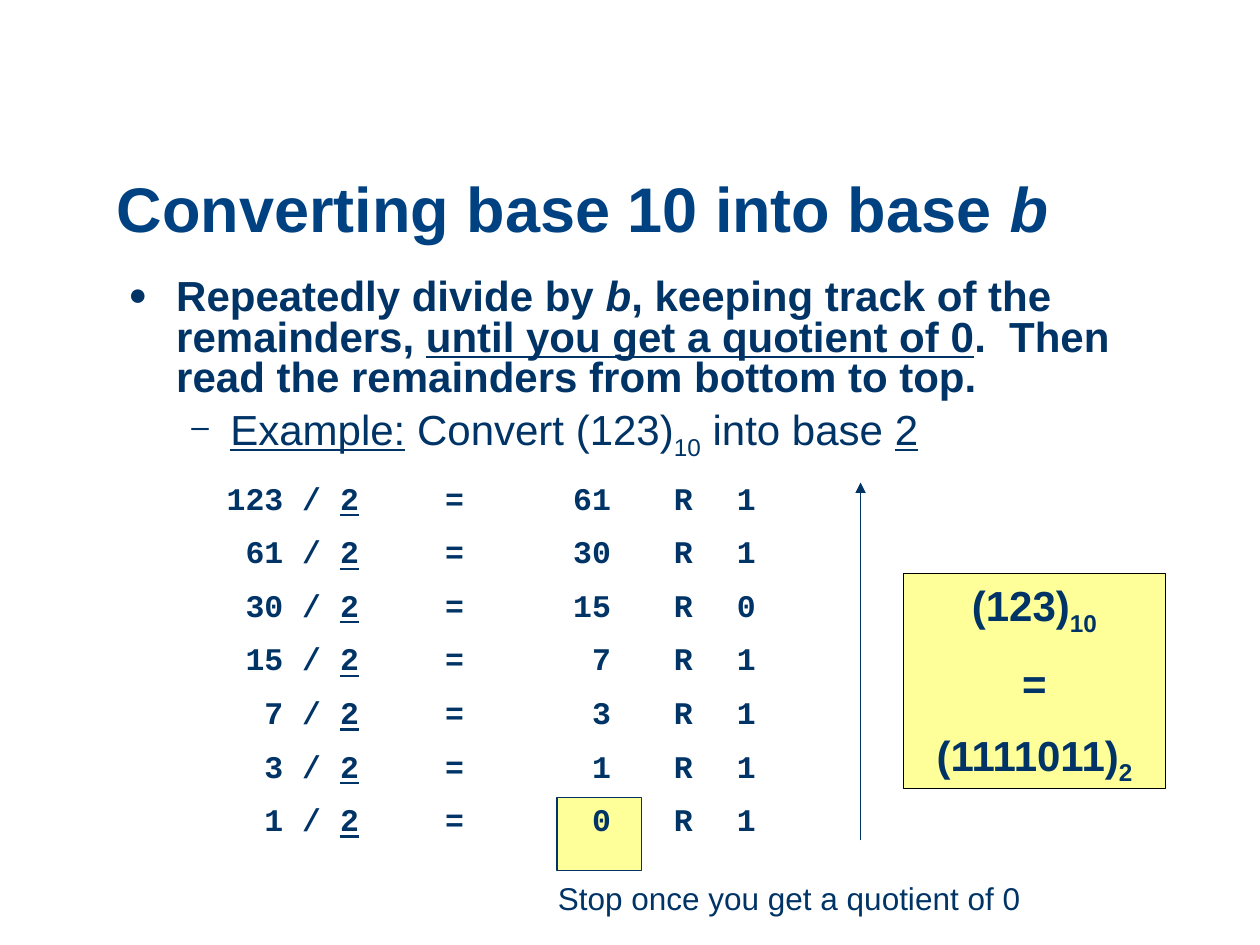
from lxml import etree
from pptx import Presentation, util as u
from pptx.dml.color import RGBColor
from pptx.enum import shapes, text
from pptx.oxml.ns import qn

NAVY, TITLE_BLUE, YELLOW, BLACK = "003366", "004182", "FFFF99", "000000"
SANS, MONO = "Arial", "Courier New"
PLAIN, ITALIC, UNDER, SUB = "plain", "italic", "under", "sub"

TITLE = [("Converting base 10 into base ", PLAIN), ("b", ITALIC)]
METHOD = [("Repeatedly divide by ", PLAIN), ("b", ITALIC),
          (", keeping track of the remainders, ", PLAIN),
          ("until you get a quotient of 0", UNDER),
          (".  Then read the remainders from bottom to top.", PLAIN)]
EXAMPLE = [("Example:", UNDER), (" Convert (123)", PLAIN), ("10", SUB),
           (" into base ", PLAIN), ("2", UNDER)]
NUMBER, BASE = 123, 2
ANSWER = [[("(123)", PLAIN), ("10", SUB)], [("=", PLAIN)],
          [("(1111011)", PLAIN), ("2", SUB)]]
STOP = [("Stop once you get a quotient of 0", PLAIN)]
TABS = [(1.5, "r"), (2.26, "ctr"), (3.5, "r")]


def color(value):
    return RGBColor.from_string(value)


def add_prop(props, tag, **attrs):
    item = etree.Element(qn("a:" + tag), {k: str(v) for k, v in attrs.items()})
    end = props.find(qn("a:defRPr"))
    end.addprevious(item)
    return item


def write(paragraph, runs, size, bold=False, face=SANS, ink=NAVY, spacing=None,
          before=0, bullet=None, indent=None, tabs=()):
    if spacing:
        paragraph.line_spacing = spacing
    font = paragraph.font
    font.name, font.size, font.bold = face, u.Pt(size), bold
    font.color.rgb = color(ink)
    props = paragraph._p.get_or_add_pPr()
    if before:
        etree.SubElement(add_prop(props, "spcBef"), qn("a:spcPct"), val=str(before * 1000))
    if bullet:
        left, hang = indent
        props.set("marL", str(u.Inches(left)))
        props.set("indent", str(u.Inches(hang)))
        etree.SubElement(add_prop(props, "buClr"), qn("a:srgbClr"), val=ink)
        add_prop(props, "buSzPct", val=75000)
        add_prop(props, "buFont", typeface=SANS)
        add_prop(props, "buChar", char=bullet)
    if tabs:
        stops = add_prop(props, "tabLst")
        for place, side in tabs:
            etree.SubElement(stops, qn("a:tab"), pos=str(u.Inches(place)), algn=side)
    for words, style in runs:
        run = paragraph.add_run()
        run.text = words
        if style == ITALIC:
            run.font.italic = True
        elif style == UNDER:
            run.font.underline = True
        elif style == SUB:
            run._r.get_or_add_rPr().set("baseline", "-25000")


def paragraphs(frame, count):
    frame.word_wrap = True
    return [frame.paragraphs[0]] + [frame.add_paragraph() for _ in range(count - 1)]


def text_area(*box):
    return slide.shapes.add_textbox(*map(u.Inches, box)).text_frame


def yellow_box(border, *box):
    panel = slide.shapes.add_shape(shapes.MSO_SHAPE.RECTANGLE, *map(u.Inches, box))
    panel.shadow.inherit = False
    panel.fill.solid()
    panel.fill.fore_color.rgb = color(YELLOW)
    panel.line.color.rgb = color(border)
    panel.line.width = u.Pt(0.75)
    return panel.text_frame


deck = Presentation()
deck.slide_width, deck.slide_height = u.Inches(10), u.Inches(7.5)
slide = deck.slides.add_slide(deck.slide_layouts[6])

heading = text_area(0.83, 1.08, 8.67, 0.92)
heading.vertical_anchor = text.MSO_ANCHOR.BOTTOM
write(paragraphs(heading, 1)[0], TITLE, 36, True, ink=TITLE_BLUE, spacing=0.9)

method, example = paragraphs(text_area(0.92, 2.17, 8.41, 1.58), 2)
write(method, METHOD, 24, True, spacing=0.8, before=20, bullet="●", indent=(0.38, -0.38))
example.level = 1
write(example, EXAMPLE, 24, spacing=0.8, before=20, bullet="–", indent=(0.81, -0.31))

yellow_box(NAVY, 4.42, 6.33, 0.67, 0.58)

divisions = []
dividend = NUMBER
while dividend:
    quotient, remainder = divmod(dividend, BASE)
    divisions.append([(f"\t{dividend} / ", PLAIN), (str(BASE), UNDER),
                      (f"\t=\t{quotient}\tR\t{remainder}", PLAIN)])
    dividend = quotient
for line, division in zip(paragraphs(text_area(1.25, 3.75, 5.75, 3.11), len(divisions)), divisions):
    write(line, division, 18, True, MONO, before=50, tabs=TABS)

reading_order = slide.shapes.add_connector(
    shapes.MSO_CONNECTOR.STRAIGHT, *map(u.Inches, (6.83, 6.67, 6.83, 3.83)))
reading_order.line.color.rgb = color(NAVY)
reading_order.line.width = u.Pt(0.75)
etree.SubElement(reading_order.line._get_or_add_ln(), qn("a:tailEnd"), type="triangle")
etree.SubElement(reading_order._element.spPr, qn("a:effectLst"))

answer = yellow_box(BLACK, 7.17, 4.55, 2.08, 1.71)
answer.vertical_anchor = text.MSO_ANCHOR.TOP
for line, runs in zip(paragraphs(answer, len(ANSWER)), ANSWER):
    line.alignment = text.PP_ALIGN.CENTER
    write(line, runs, 24, True, before=50)

write(paragraphs(text_area(4.33, 6.93, 3.92, 0.4), 1)[0], STOP, 18, before=50)

deck.save("out.pptx")
